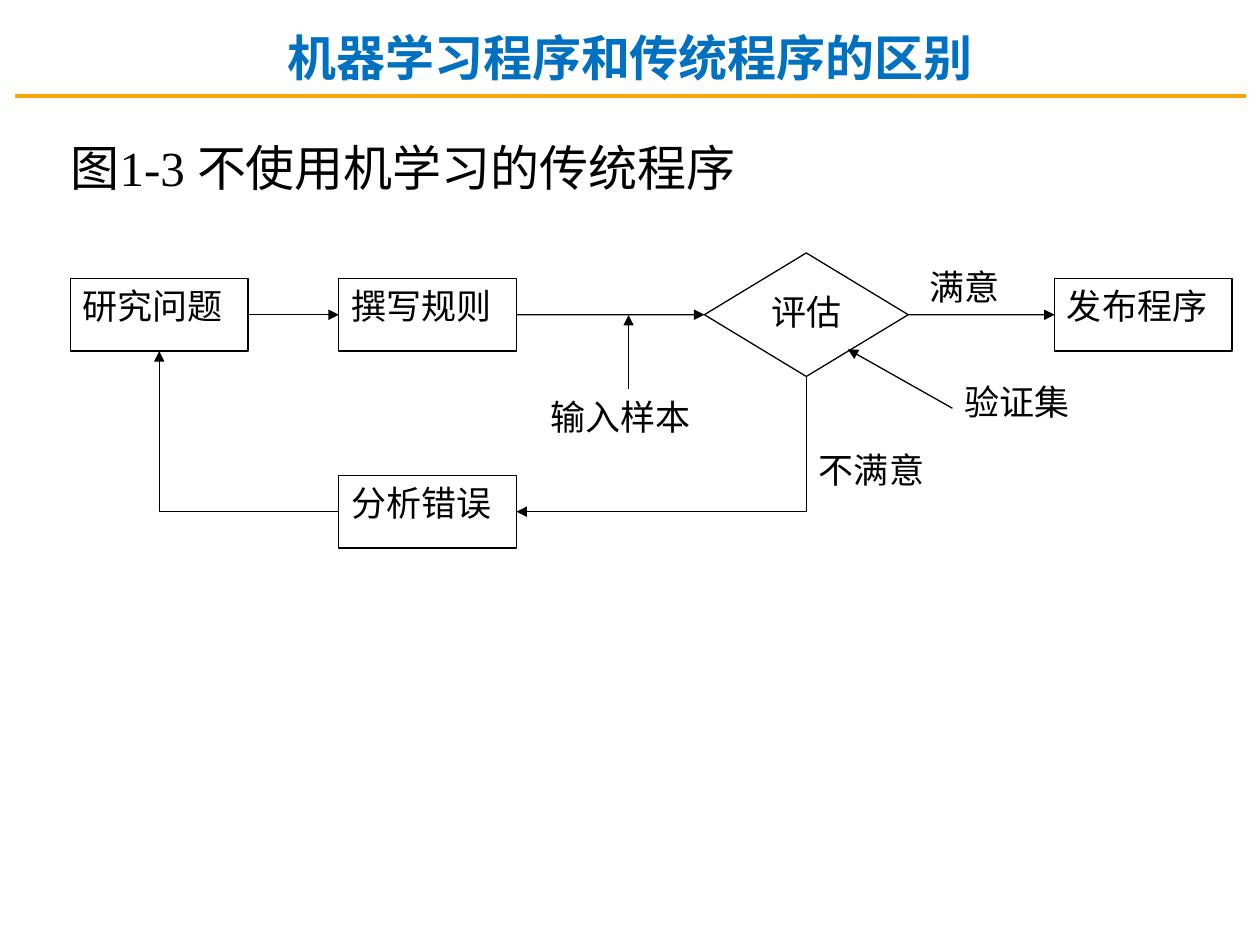
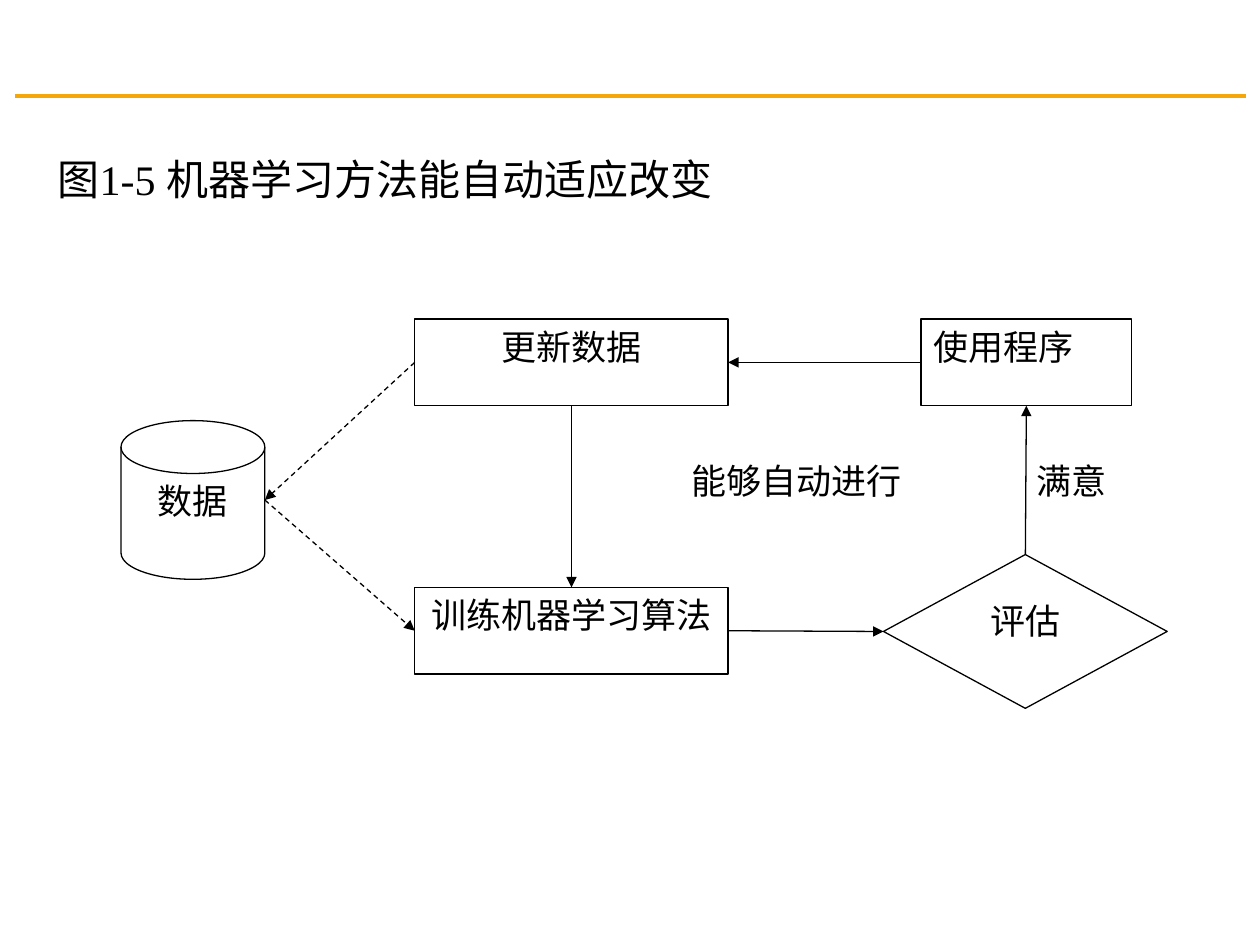
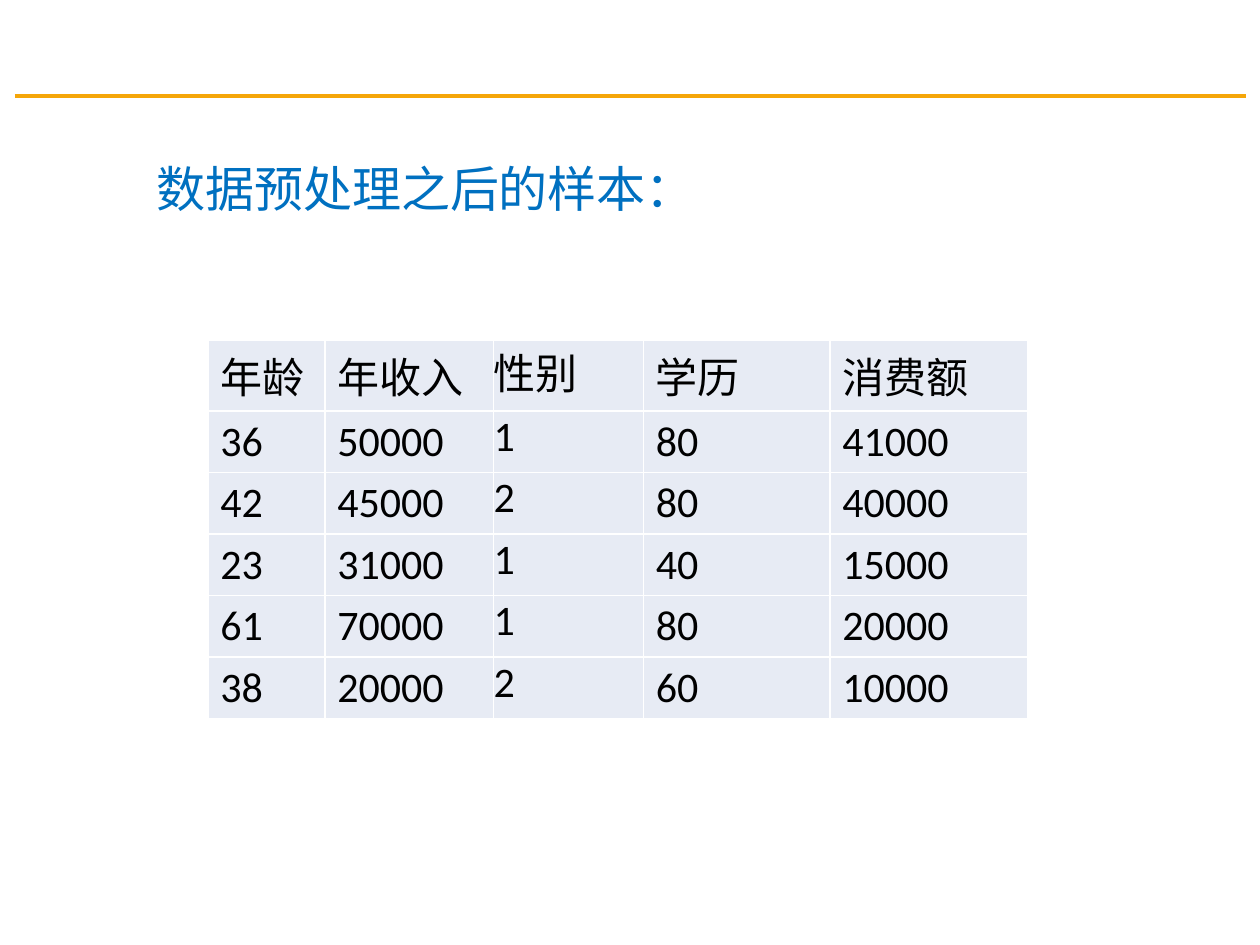
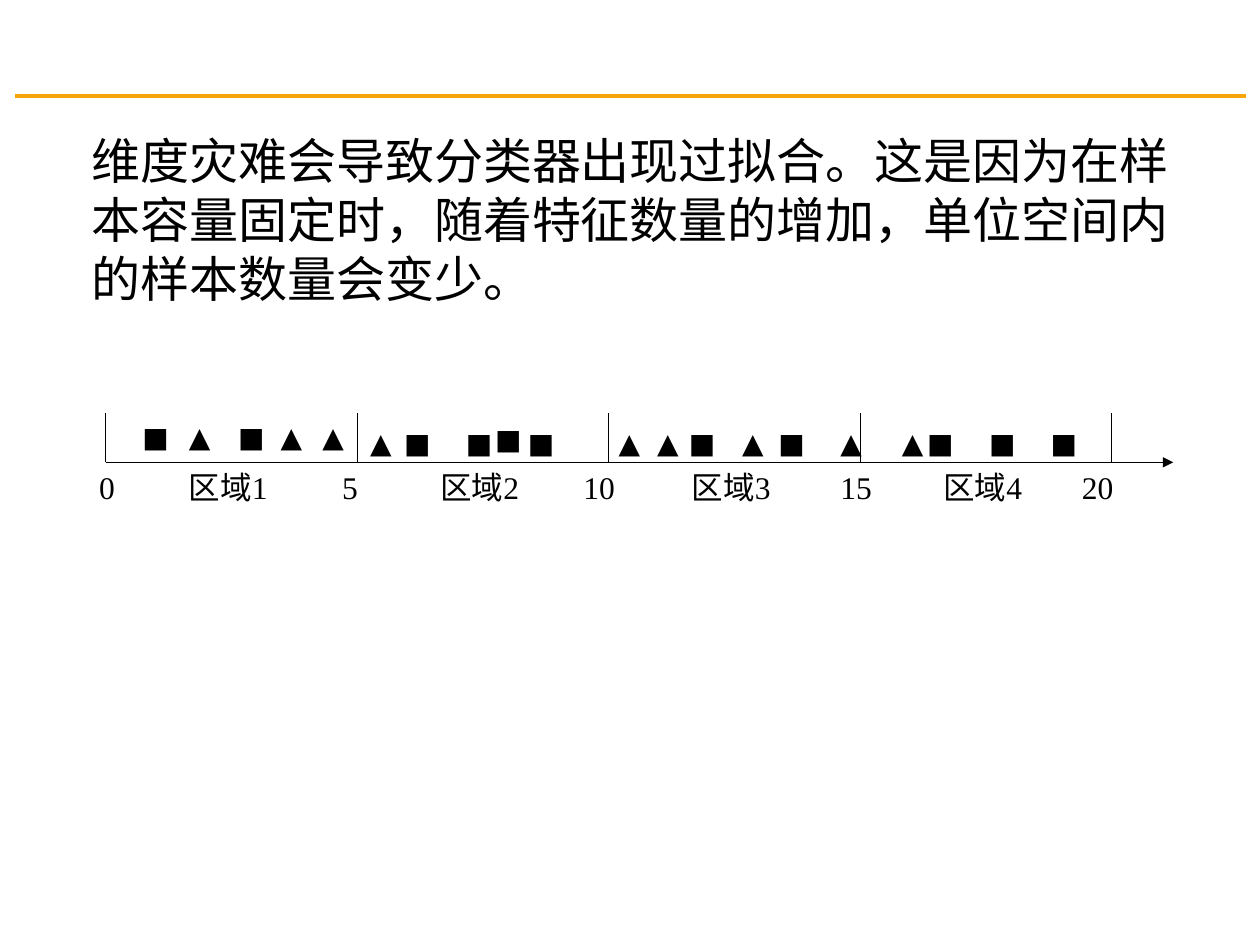
import pptx
import pptx.util
from pptx.dml.color import RGBColor
from pptx.enum.dml import MSO_LINE
from pptx.enum.lang import MSO_LANGUAGE_ID
from pptx.enum.shapes import MSO_CONNECTOR, MSO_SHAPE
from pptx.enum.text import MSO_ANCHOR, MSO_AUTO_SIZE, PP_ALIGN
from pptx.oxml.ns import qn
from lxml import etree

Cm, Pt = pptx.util.Cm, pptx.util.Pt

BLACK = RGBColor(0x00, 0x00, 0x00)
WHITE = RGBColor(0xFF, 0xFF, 0xFF)
BLUE = RGBColor(0x00, 0x70, 0xC0)
ORANGE = RGBColor(0xF5, 0xA6, 0x09)
PALE = RGBColor(0xE7, 0xEB, 0xF4)

SERIF, SANS, HAN = "Times New Roman", "Calibri", "Noto Sans CJK SC"
LEFT, MID, FULL = PP_ALIGN.LEFT, PP_ALIGN.CENTER, PP_ALIGN.JUSTIFY
TOP_SIDE, LEFT_SIDE, LOW_SIDE, RIGHT_SIDE = range(4)


# Text
def write(frame, text, size, face, align=LEFT, color=BLACK, bold=False):
    para = frame.paragraphs[0]
    para.alignment = align
    run = para.add_run()
    run.text = text
    font = run.font
    font.size, font.name, font.bold = Pt(size), face, bold
    font.color.rgb = color
    font.language_id = MSO_LANGUAGE_ID.SIMPLIFIED_CHINESE


def label(slide, text, x, y, w, h, size=20, face=SERIF, align=LEFT,
          anchor=MSO_ANCHOR.TOP):
    frame = slide.shapes.add_textbox(Cm(x), Cm(y), Cm(w), Cm(h)).text_frame
    frame.word_wrap = True
    frame.vertical_anchor = anchor
    write(frame, text, size, face, align)


def caption(slide, text, x, y, w, h, size):
    label(slide, text, x, y, w, h, size, align=MID, anchor=MSO_ANCHOR.MIDDLE)


def title(slide, text, x, y, w, h, align, bold, wrap=True):
    shape = slide.shapes.title
    shape.left, shape.top, shape.width, shape.height = Cm(x), Cm(y), Cm(w), Cm(h)
    frame = shape.text_frame
    frame.auto_size = MSO_AUTO_SIZE.NONE
    frame.word_wrap = wrap
    frame.vertical_anchor = MSO_ANCHOR.TOP
    write(frame, text, 28, HAN, align, BLUE, bold)


# Flow chart nodes
def node(slide, kind, text, x, y, w, h, align=LEFT, tight=False):
    shape = slide.shapes.add_shape(kind, Cm(x), Cm(y), Cm(w), Cm(h))
    shape.shadow.inherit = False
    shape.fill.solid()
    shape.fill.fore_color.rgb = WHITE
    shape.line.color.rgb = BLACK
    shape.line.width = Pt(0.75)
    frame = shape.text_frame
    frame.word_wrap = True
    frame.vertical_anchor = MSO_ANCHOR.TOP
    if tight:
        frame.margin_left = frame.margin_right = 0
    write(frame, text, 20, SERIF, align)
    return shape


# Lines: an end is either a point (x, y) in cm or a pair (shape, side)
def link(slide, start, end, head=True, dash=False, color=BLACK, width=0.75,
         kind=MSO_CONNECTOR.STRAIGHT):
    line = slide.shapes.add_connector(kind, 0, 0, 0, 0)
    if hasattr(start[0], "shape_id"):
        line.begin_connect(*start)
    else:
        line.begin_x, line.begin_y = Cm(start[0]), Cm(start[1])
    if hasattr(end[0], "shape_id"):
        line.end_connect(*end)
    else:
        line.end_x, line.end_y = Cm(end[0]), Cm(end[1])
    line.line.color.rgb = color
    line.line.width = Pt(width)
    if dash:
        line.line.dash_style = MSO_LINE.DASH
    props = line.element.spPr
    if head:
        etree.SubElement(props.find(qn("a:ln")), qn("a:tailEnd"), type="triangle")
    etree.SubElement(props, qn("a:effectLst"))
    return line


def elbow(slide, start, end, turn):
    """Join two sides with a single right-angle bend, turned by 90 or 180."""
    line = link(slide, start, end, kind=MSO_CONNECTOR.ELBOW)
    props = line.element.spPr
    props.find(qn("a:prstGeom")).set("prst", "bentConnector2")
    frame = props.find(qn("a:xfrm"))
    for flip in ("flipH", "flipV"):
        frame.attrib.pop(flip, None)
    frame.set("rot", str(turn * 60000))
    if turn == 90:
        w, h = line.width, line.height
        line.left, line.top = line.left + (w - h) // 2, line.top + (h - w) // 2
        line.width, line.height = h, w


# Table
def border(cell):
    props = cell._tc.get_or_add_tcPr()
    for tag in ("a:lnL", "a:lnR", "a:lnT", "a:lnB"):
        edge = etree.SubElement(props, qn(tag), w=str(Pt(1)))
        fill = etree.SubElement(edge, qn("a:solidFill"))
        etree.SubElement(fill, qn("a:srgbClr"), val=str(WHITE))


def grid(slide, rows, x, y, widths, heights, bare):
    table = slide.shapes.add_table(len(rows), len(widths), Cm(x), Cm(y),
                                   Cm(sum(widths)), Cm(sum(heights))).table
    table.first_row = table.horz_banding = False
    for col, width in zip(table.columns, widths):
        col.width = Cm(width)
    for r, row in enumerate(rows):
        table.rows[r].height = Cm(heights[r])
        for c, text in enumerate(row):
            cell = table.cell(r, c)
            side, edge = (0, 0) if c == bare else (0.25, 0.1)
            cell.margin_left = cell.margin_right = Cm(side)
            cell.margin_top = cell.margin_bottom = Cm(edge)
            border(cell)
            cell.fill.solid()
            cell.fill.fore_color.rgb = PALE
            write(cell.text_frame, text, 24, SANS, FULL)


# Slides
def classic(slide):
    rect = MSO_SHAPE.RECTANGLE
    title(slide, "机器学习程序和传统程序的区别", 0, 0.43, 25.4, 1.45, MID, True)
    caption(slide, "图1-3 不使用机学习的传统程序", 1.09, 2.64, 14.07, 1.45, 28)

    w, h, top = 3.58, 1.47, 5.61
    study = node(slide, rect, "研究问题", 1.42, top, w, h)
    rules = node(slide, rect, "撰写规则", 6.83, top, w, h)
    faults = node(slide, rect, "分析错误", 6.83, 9.58, w, h)
    judge = node(slide, MSO_SHAPE.DIAMOND, "评估", 14.2, 5.1, 4.11, 2.49, MID)
    launch = node(slide, rect, "发布程序", 21.26, top, w, h)

    for a, b in ((study, rules), (rules, judge), (judge, launch)):
        link(slide, (a, RIGHT_SIDE), (b, LEFT_SIDE))
    elbow(slide, (judge, LOW_SIDE), (faults, RIGHT_SIDE), 90)
    elbow(slide, (faults, LEFT_SIDE), (study, LOW_SIDE), 180)
    link(slide, (12.67, 7.85), (12.67, 6.35))
    link(slide, (19.2, 8.23), (17.09, 7.04))

    label(slide, "满意", 18.49, 5.23, 2.95, 1.73)
    label(slide, "不满意", 16.26, 8.92, 2.95, 1.4)
    label(slide, "输入样本", 10.85, 7.85, 3.66, 1.4)
    label(slide, "验证集", 19.2, 7.54, 2.95, 1.4)


def adapt(slide):
    rect = MSO_SHAPE.RECTANGLE
    caption(slide, "图1-5 机器学习方法能自动适应改变", 0.84, 2.97, 13.84, 1.27, 24)

    renew = node(slide, rect, "更新数据", 8.36, 6.43, 6.32, 1.75, MID, True)
    train = node(slide, rect, "训练机器学习算法", 8.36, 11.84, 6.32, 1.75, MID, True)
    use = node(slide, rect, "使用程序", 18.57, 6.43, 4.24, 1.75)
    judge = node(slide, MSO_SHAPE.DIAMOND, "评估", 17.81, 11.18, 5.72, 3.1, MID)
    node(slide, MSO_SHAPE.FLOWCHART_MAGNETIC_DISK, "数据", 2.44, 8.48, 2.9, 3.2, MID)
    store = (5.34, 10.08)

    link(slide, (use, LEFT_SIDE), (renew, RIGHT_SIDE))
    link(slide, (renew, LOW_SIDE), (train, TOP_SIDE))
    link(slide, (judge, TOP_SIDE), (use, LOW_SIDE))
    link(slide, (train, RIGHT_SIDE), (judge, LEFT_SIDE))
    link(slide, (renew, LEFT_SIDE), store, dash=True)
    link(slide, store, (train, LEFT_SIDE), dash=True)

    label(slide, "满意", 20.65, 9.14, 3.48, 2.03)
    label(slide, "能够自动进行", 13.69, 9.14, 6.12, 2.03)


def samples(slide):
    title(slide, "数据预处理之后的样本：", 2.9, 3.07, 11.48, 1.45, LEFT, False, False)
    rows = [
        ("年龄", "年收入", "性别", "学历", "消费额"),
        ("36", "50000", "1", "80", "41000"),
        ("42", "45000", "2", "80", "40000"),
        ("23", "31000", "1", "40", "15000"),
        ("61", "70000", "1", "80", "20000"),
        ("38", "20000", "2", "60", "10000"),
    ]
    grid(slide, rows, 4.19, 6.86, (2.36, 3.4, 3.02, 3.76, 3.99),
         [1.42] + [1.24] * 5, bare=2)


def regions(slide):
    label(slide, "维度灾难会导致分类器出现过拟合。这是因为在样本容量固定时，"
                 "随着特征数量的增加，单位空间内的样本数量会变少。",
          1.6, 2.51, 22.91, 3.84, 28, SANS)

    # Axis with a tick every five units
    left, base, step = 2.13, 9.32, 5.07
    link(slide, (left, base), (23.65, base))
    for i, x in enumerate((1.75, 6.65, 11.51, 16.69, 21.56)):
        tick = left + i * step
        link(slide, (tick, base), (tick, 8.33), head=False)
        label(slide, str(5 * i), x, base, 1.24 if i < 2 else 1.75, 1.07, 18)
    for i in range(4):
        label(slide, f"区域{i + 1}", 3.56 + i * step, base, 3.66, 1.07, 18)

    # Samples of the two classes, by height
    marks = (
        ("■", 8.33, (2.62, 4.55)),
        ("■", 8.38, (9.73,)),
        ("■", 8.46, (7.9, 9.14, 10.39, 13.64, 15.44, 18.44, 19.69, 20.93)),
        ("▲", 8.33, (3.56, 5.41, 6.25)),
        ("▲", 8.46, (7.21, 12.22, 13, 14.71, 16.69, 17.93)),
    )
    for sign, y, places in marks:
        for x in places:
            label(slide, sign, x, y, 1.24, 0.86, 16, SANS)


def main():
    deck = pptx.Presentation()
    deck.slide_width, deck.slide_height = Cm(25.4), Cm(19.05)
    titled, blank = deck.slide_layouts[5], deck.slide_layouts[6]
    pages = ((classic, titled), (adapt, blank), (samples, titled), (regions, blank))
    for draw, layout in pages:
        draw(deck.slides.add_slide(layout))

    # Shared rule, moved to the slide master
    rule = link(deck.slides[0], (0.3, 1.93), (25.12, 1.93), False,
                color=ORANGE, width=2)
    deck.slide_master.shapes.element.append(rule.element)
    deck.save("out.pptx")


if __name__ == "__main__":
    main()
